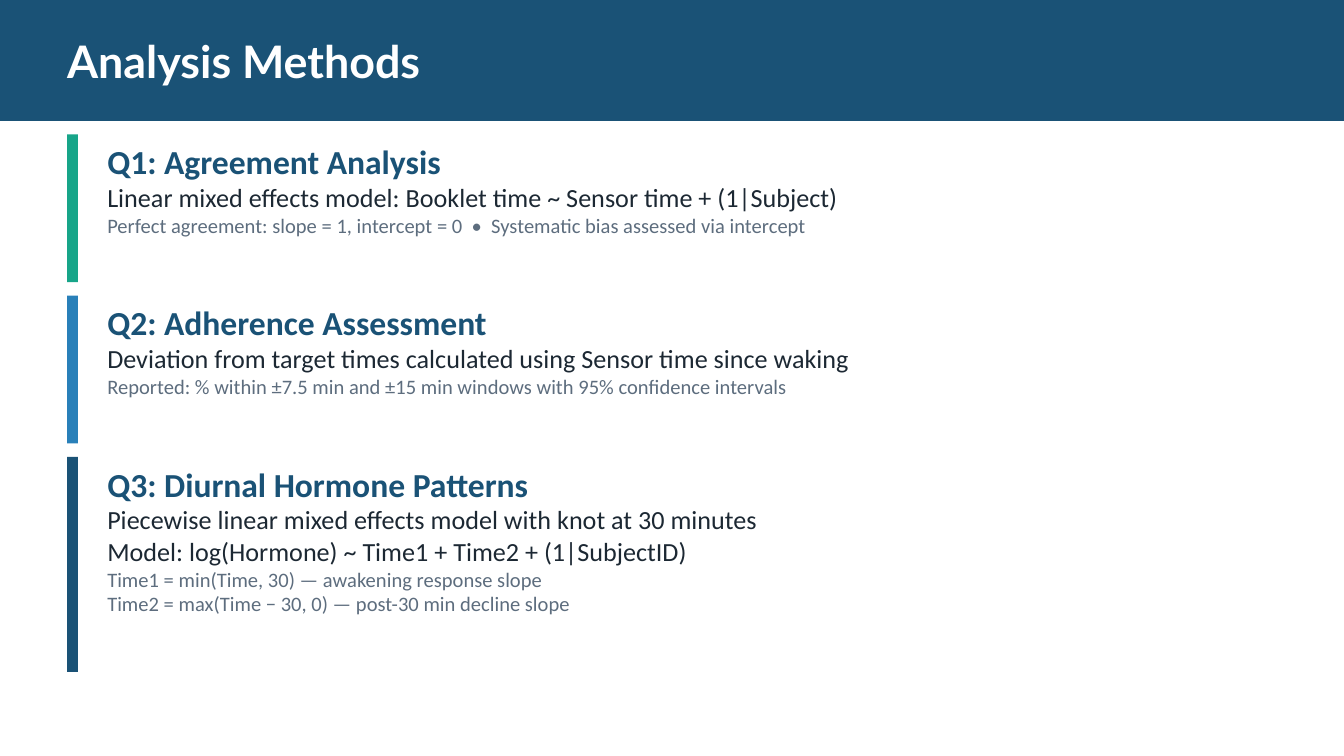
from pptx import Presentation
from pptx.dml.color import RGBColor
from pptx.enum.shapes import MSO_SHAPE as Shape
from pptx.enum.text import MSO_ANCHOR as Anchor
from pptx.util import Pt

NAVY, GREEN, BLUE = "1A5276", "17A589", "2980B9"
INK, GRAY, WHITE = "1C2833", "5D6D7E", "FFFFFF"
MARGIN = 36
GAP = 7.2

# accent colour, height, heading, main lines, detail lines
SECTIONS = [
    (GREEN, 79.2, "Q1: Agreement Analysis",
     ["Linear mixed effects model: Booklet time ~ Sensor time + (1|Subject)"],
     ["Perfect agreement: slope = 1, intercept = 0  •  Systematic bias assessed via intercept"]),
    (BLUE, 79.2, "Q2: Adherence Assessment",
     ["Deviation from target times calculated using Sensor time since waking"],
     ["Reported: % within ±7.5 min and ±15 min windows with 95% confidence intervals"]),
    (NAVY, 115.2, "Q3: Diurnal Hormone Patterns",
     ["Piecewise linear mixed effects model with knot at 30 minutes",
      "Model: log(Hormone) ~ Time1 + Time2 + (1|SubjectID)"],
     ["Time1 = min(Time, 30) — awakening response slope",
      "Time2 = max(Time − 30, 0) — post-30 min decline slope"]),
]


def rgb(value):
    return RGBColor.from_string(value)


def add_bar(s, x, y, w, h, color):
    sp = s.shapes.add_shape(Shape.RECTANGLE, Pt(x), Pt(y), Pt(w), Pt(h))
    sp.shadow.inherit = False
    sp.fill.solid()
    sp.fill.fore_color.rgb = rgb(color)
    sp.line.fill.background()


def add_frame(s, x, y, w, h, anchor=Anchor.TOP):
    """Add a wrapping text box and return its text frame."""
    tf = s.shapes.add_textbox(Pt(x), Pt(y), Pt(w), Pt(h)).text_frame
    tf.word_wrap = True
    tf.vertical_anchor = anchor
    return tf


def write(p, text, size, color, font="Calibri", bold=False):
    r = p.add_run()
    r.text = text
    r.font.size = Pt(size)
    r.font.name = font
    r.font.bold = bold
    r.font.color.rgb = rgb(color)


def add_header(s, title):
    add_bar(s, 0, 0, 720, 64.8, NAVY)
    tf = add_frame(s, MARGIN, 10.8, 648, 43.2, Anchor.MIDDLE)
    tf.margin_left = tf.margin_right = tf.margin_top = tf.margin_bottom = 0
    write(tf.paragraphs[0], title, 24, WHITE, font="Lato", bold=True)


def add_section(s, y, color, h, heading, lines, details):
    add_bar(s, MARGIN, y, 5.76, h, color)
    tf = add_frame(s, 50.4, y, 633.6, h)
    write(tf.paragraphs[0], heading, 18, NAVY, bold=True)
    for line in lines:
        write(tf.add_paragraph(), line, 14, INK)
    for detail in details:
        write(tf.add_paragraph(), detail, 11, GRAY)


def main():
    prs = Presentation()
    prs.slide_width, prs.slide_height = Pt(720), Pt(405)
    s = prs.slides.add_slide(prs.slide_layouts[6])
    add_header(s, "Analysis Methods")
    y = 72
    for color, h, heading, lines, details in SECTIONS:
        add_section(s, y, color, h, heading, lines, details)
        y += h + GAP
    prs.save("out.pptx")


if __name__ == "__main__":
    main()
